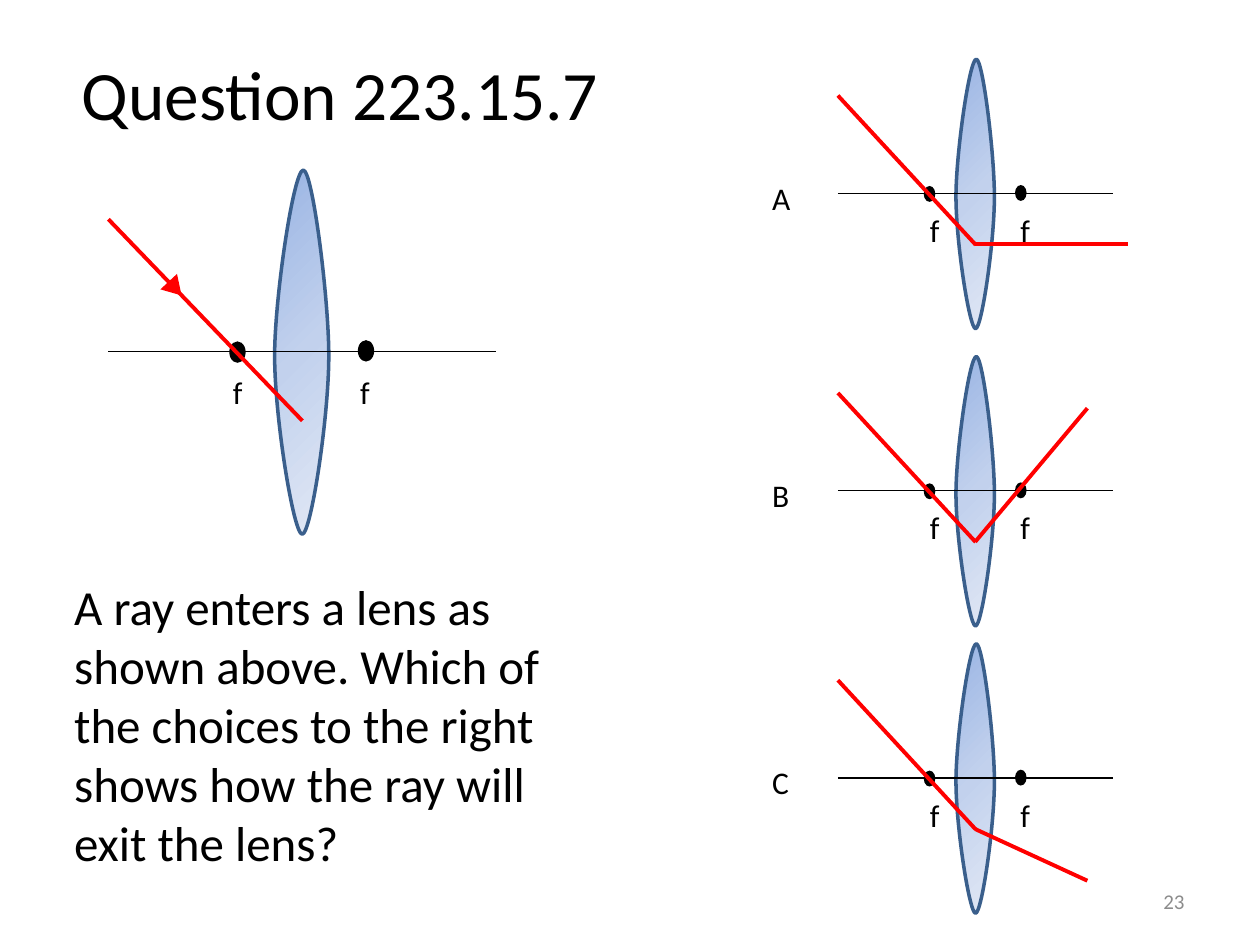
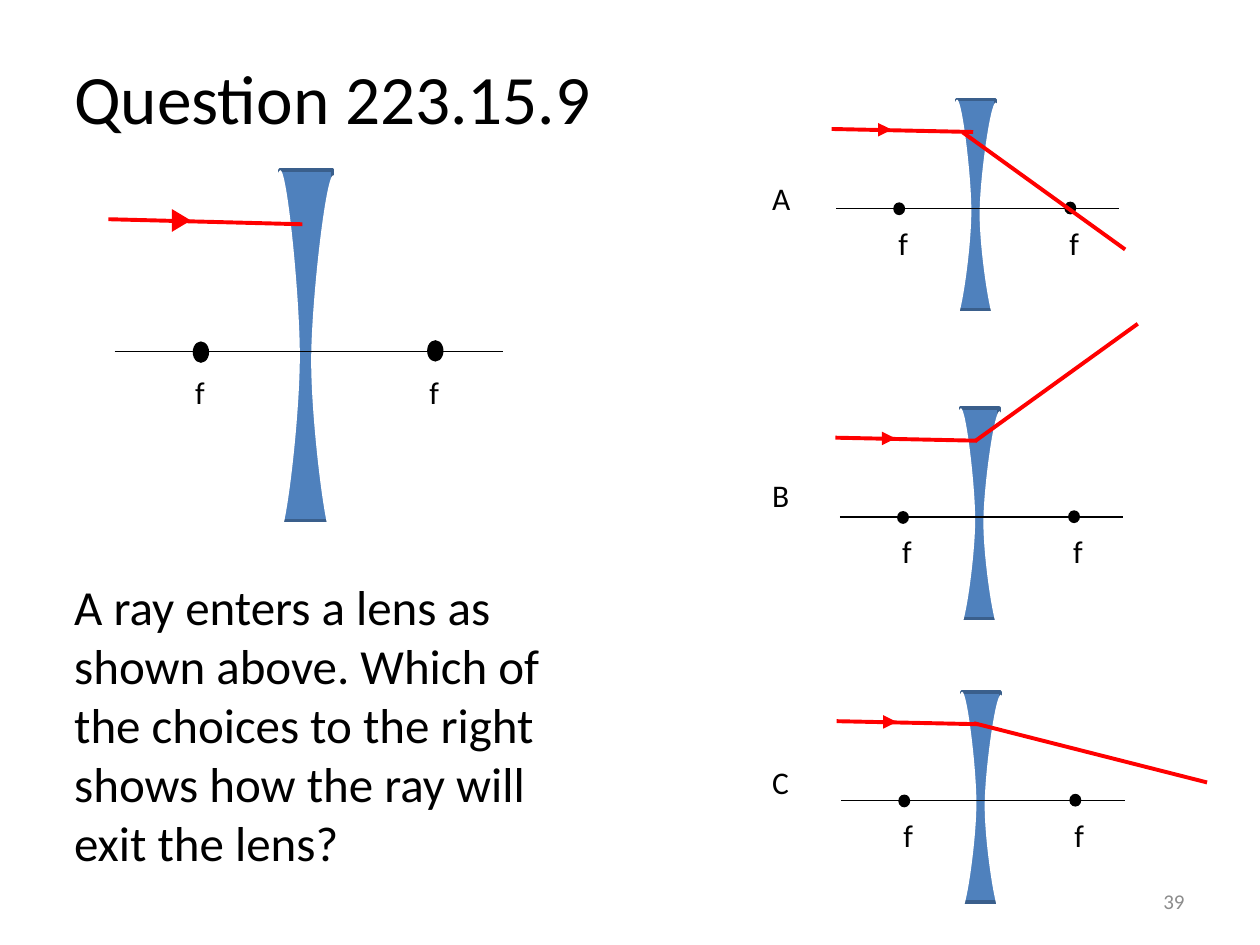
"""Build two lens-ray multiple-choice question slides."""
import copy
from dataclasses import dataclass
from typing import Optional

import lxml.etree
import pptx
import pptx.dml.color
import pptx.enum.shapes
import pptx.enum.text
import pptx.oxml
import pptx.oxml.ns
import pptx.shapes.autoshape
import pptx.slide
import pptx.util

Inches = pptx.util.Inches
RGBColor = pptx.dml.color.RGBColor
Shapes = pptx.enum.shapes.MSO_SHAPE
Align = pptx.enum.text.PP_ALIGN
Anchor = pptx.enum.text.MSO_ANCHOR
qn = pptx.oxml.ns.qn

BLACK = RGBColor(0x00, 0x00, 0x00)
WHITE = RGBColor(0xFF, 0xFF, 0xFF)
RED = RGBColor(0xFF, 0x00, 0x00)
GRAY = RGBColor(0x8C, 0x8C, 0x8C)
LENS_BLUE = RGBColor(0x4F, 0x81, 0xBD)
LENS_EDGE = RGBColor(0x3A, 0x5F, 0x8C)
LENS_GRADIENT = (RGBColor(0x9A, 0xB5, 0xE4), RGBColor(0xC2, 0xD1, 0xED), RGBColor(0xE1, 0xE8, 0xF5))

FONT = "Calibri"
QUESTION = ("A ray enters a lens as shown above. Which of the choices to the right "
            "shows how the ray will exit the lens?")
LENS_CURVE_POINTS = (
    (0.53, 0),
    (0.35, 0), (0, 0.35), (0, 0.51),
    (0, 0.68), (0.35, 1), (0.51, 1),
    (0.67, 1), (1, 0.68), (1, 0.51),
    (1, 0.35), (0.7, 0), (0.53, 0),
)

Point = tuple[float, float]
Segment = tuple[Point, Point]


@dataclass(frozen=True)
class Box:
    """A rectangle in inches."""
    left: float
    top: float
    width: float
    height: float

    def lengths(self) -> tuple:
        """Return the four sides as lengths."""
        return tuple(Inches(side) for side in (self.left, self.top, self.width, self.height))


@dataclass(frozen=True)
class Frame:
    """Where a diagram sits and how it is stretched."""
    left: float
    top: float
    across: float = 1
    down: float = 1

    def point(self, point: Point) -> Point:
        """Place a diagram point on the slide."""
        return self.left + point[0] * self.across, self.top + point[1] * self.down

    def box(self, box: Box) -> Box:
        """Place a diagram box on the slide."""
        return Box(*self.point((box.left, box.top)), box.width * self.across, box.height * self.down)


@dataclass(frozen=True)
class LensDiagram:
    """Layout of one kind of lens with its axis, foci and incoming ray."""
    concave: bool
    lens: Box
    axis: Segment
    foci: tuple[Point, Point]
    labels: tuple[Point, Point]
    ray: Segment
    arrow_centre: Point
    arrow_rotation: float
    masks: tuple[Box, ...] = ()


@dataclass(frozen=True)
class Choice:
    """One answer: its letter, diagram frame and exit ray."""
    letter: str
    letter_top: float
    frame: Frame
    exit_ray: Segment


@dataclass(frozen=True)
class Question:
    """Content of one question slide."""
    title: str
    title_box: Box
    number: str
    diagram: LensDiagram
    choices: tuple[Choice, ...]
    arrows_on_choices: bool


MAIN_FRAME = Frame(0.86, 1.35)
CONVEX = LensDiagram(
    concave=False,
    lens=Box(1.32, 0, 0.43, 2.89),
    axis=((0, 1.44), (3.08, 1.44)),
    foci=((1.98, 1.35), (0.96, 1.36)),
    labels=((0.89, 1.56), (1.9, 1.56)),
    ray=((0, 0.39), (1.54, 1.99)),
    arrow_centre=(0.53, 0.94),
    arrow_rotation=137.1,
)
CONCAVE = LensDiagram(
    concave=True,
    lens=Box(1.36, 0, 0.42, 2.78),
    axis=((0.05, 1.44), (3.13, 1.44)),
    foci=((2.53, 1.35), (0.67, 1.36)),
    labels=((0.59, 1.56), (2.45, 1.56)),
    ray=((0, 0.39), (1.54, 0.43)),
    arrow_centre=(0.58, 0.4),
    arrow_rotation=90,
    masks=(Box(1.19, 0, 0.33, 2.89), Box(1.61, 0.04, 0.33, 2.89)),
)
QUESTIONS = (
    Question(
        "Question 223.15.7", Box(0.41, 0.11, 4.58, 1.25), "23", CONVEX,
        (
            Choice("A", 1.37, Frame(6.65, 0.47, 0.71, 0.74), ((7.74, 1.94), (8.95, 1.94))),
            Choice("B", 3.73, Frame(6.65, 2.83, 0.71, 0.74), ((7.74, 4.3), (8.63, 3.24))),
            Choice("C", 6.01, Frame(6.65, 5.11, 0.71, 0.74), ((7.74, 6.58), (8.63, 6.99))),
        ),
        arrows_on_choices=False,
    ),
    Question(
        "Question 223.15.9", Box(0.35, 0.14, 4.58, 1.25), "39", CONCAVE,
        (
            Choice("A", 1.37, Frame(6.6, 0.79, 0.73, 0.6), ((7.64, 1.05), (8.93, 1.98))),
            Choice("B", 3.73, Frame(6.63, 3.24, 0.73, 0.6), ((9.03, 2.57), (7.74, 3.5))),
            Choice("C", 6.01, Frame(6.64, 5.49, 0.73, 0.6), ((9.58, 6.21), (7.73, 5.74))),
        ),
        arrows_on_choices=True,
    ),
)


def add_text(slide: pptx.slide.Slide, box: Box, text: str, size: float, color: RGBColor = BLACK,
             align: Align = Align.LEFT, anchor: Anchor = Anchor.TOP, wrap: bool = True) -> None:
    """Add a text box holding one paragraph."""
    frame = slide.shapes.add_textbox(*box.lengths()).text_frame
    frame.word_wrap = wrap
    if not wrap:
        frame.auto_size = pptx.enum.text.MSO_AUTO_SIZE.SHAPE_TO_FIT_TEXT
    frame.vertical_anchor = anchor
    paragraph = frame.paragraphs[0]
    paragraph.text = text
    paragraph.alignment = align
    paragraph.font.name = FONT
    paragraph.font.size = pptx.util.Pt(size)
    paragraph.font.color.rgb = color


def style_shape(shape: pptx.shapes.autoshape.Shape, fill: Optional[RGBColor],
                edge: Optional[RGBColor] = None) -> None:
    """Set fill and outline, using the lens gradient when no fill is given."""
    shape.shadow.inherit = False
    if fill is None:
        shape.fill.gradient()
        shape.fill.gradient_angle = 315
        stop_list = shape._element.spPr.find(".//" + qn("a:gsLst"))
        stop_list.append(copy.deepcopy(stop_list[-1]))
        for index, stop in enumerate(shape.fill.gradient_stops):
            stop.position = index / 2
            stop.color.rgb = LENS_GRADIENT[index]
    else:
        shape.fill.solid()
        shape.fill.fore_color.rgb = fill
    if edge is None:
        shape.line.fill.background()
    else:
        shape.line.color.rgb = edge
        shape.line.width = pptx.util.Pt(2)


def add_preset(slide: pptx.slide.Slide, kind: Shapes, box: Box, fill: RGBColor,
               edge: Optional[RGBColor] = None, rotation: float = 0) -> None:
    """Add a styled preset shape."""
    shape = slide.shapes.add_shape(kind, *box.lengths())
    shape.rotation = rotation
    style_shape(shape, fill, edge)


def add_line(slide: pptx.slide.Slide, segment: Segment, color: RGBColor, width: float) -> None:
    """Add a straight line without a shadow."""
    ends = [Inches(value) for point in segment for value in point]
    line = slide.shapes.add_connector(pptx.enum.shapes.MSO_CONNECTOR.STRAIGHT, *ends)
    line.line.color.rgb = color
    line.line.width = pptx.util.Pt(width)
    line._element.spPr.append(pptx.oxml.parse_xml(f"<a:effectLst {pptx.oxml.ns.nsdecls('a')}/>"))


def add_ray(slide: pptx.slide.Slide, segment: Segment) -> None:
    """Add a red light ray."""
    add_line(slide, segment, RED, 2.25)


def curve_segments(shape: pptx.shapes.autoshape.Shape) -> None:
    """Turn every three straight segments of a freeform into one Bezier curve."""
    segments = list(shape._element.spPr.iter(qn("a:lnTo")))
    for index in range(0, len(segments), 3):
        curve = lxml.etree.Element(qn("a:cubicBezTo"))
        segments[index].addprevious(curve)
        for segment in segments[index:index + 3]:
            curve.append(segment[0])
            segment.getparent().remove(segment)


def add_lens_outline(slide: pptx.slide.Slide, box: Box, fill: Optional[RGBColor],
                     edge: Optional[RGBColor] = None) -> None:
    """Add a pointed oval filling the box."""
    points = [(Inches(box.left + x * box.width), Inches(box.top + y * box.height))
              for x, y in LENS_CURVE_POINTS]
    builder = slide.shapes.build_freeform(*points[0])
    builder.add_line_segments(points[1:], close=True)
    shape = builder.convert_to_shape()
    curve_segments(shape)
    style_shape(shape, fill, edge)


def add_diagram(slide: pptx.slide.Slide, diagram: LensDiagram, frame: Frame, arrow: bool) -> None:
    """Draw a lens with its axis, foci and incoming ray."""
    lens = frame.box(diagram.lens)
    if diagram.concave:
        add_preset(slide, Shapes.RECTANGLE, lens, LENS_BLUE, LENS_EDGE)
    else:
        add_lens_outline(slide, lens, None, LENS_EDGE)
    for mask in diagram.masks:
        add_lens_outline(slide, frame.box(mask), WHITE)
    add_line(slide, tuple(frame.point(end) for end in diagram.axis), BLACK, 0.75)
    for focus in diagram.foci:
        add_preset(slide, Shapes.OVAL, frame.box(Box(*focus, 0.13, 0.17)), BLACK)
    add_ray(slide, tuple(frame.point(end) for end in diagram.ray))
    for label in diagram.labels:
        add_text(slide, frame.box(Box(*label, 0.28, 0.42)), "f", 18, wrap=False)
    if arrow:
        x, y = frame.point(diagram.arrow_centre)
        width, height = 0.18 * frame.down, 0.15 * frame.across
        add_preset(slide, Shapes.ISOSCELES_TRIANGLE, Box(x - width / 2, y - height / 2, width, height),
                   RED, rotation=diagram.arrow_rotation)


def add_question(presentation: pptx.presentation.Presentation, question: Question) -> None:
    """Add one question slide."""
    slide = presentation.slides.add_slide(presentation.slide_layouts[6])
    add_text(slide, question.title_box, question.title, 39.6, align=Align.CENTER, anchor=Anchor.MIDDLE)
    add_text(slide, Box(0.49, 4.53, 4.42, 2.73), QUESTION, 28)
    add_text(slide, Box(7.17, 6.95, 2.33, 0.4), question.number, 12, GRAY, Align.RIGHT, Anchor.MIDDLE)
    add_diagram(slide, question.diagram, MAIN_FRAME, arrow=True)
    for choice in question.choices:
        add_diagram(slide, question.diagram, choice.frame, question.arrows_on_choices)
        add_text(slide, Box(6.03, choice.letter_top, 0.37, 0.4), choice.letter, 18, wrap=False)
    for choice in question.choices:
        add_ray(slide, choice.exit_ray)


def main() -> None:
    """Build and save the presentation."""
    presentation = pptx.Presentation()
    presentation.slide_width = Inches(10)
    presentation.slide_height = Inches(7.5)
    for question in QUESTIONS:
        add_question(presentation, question)
    presentation.save("out.pptx")


if __name__ == "__main__":
    main()
